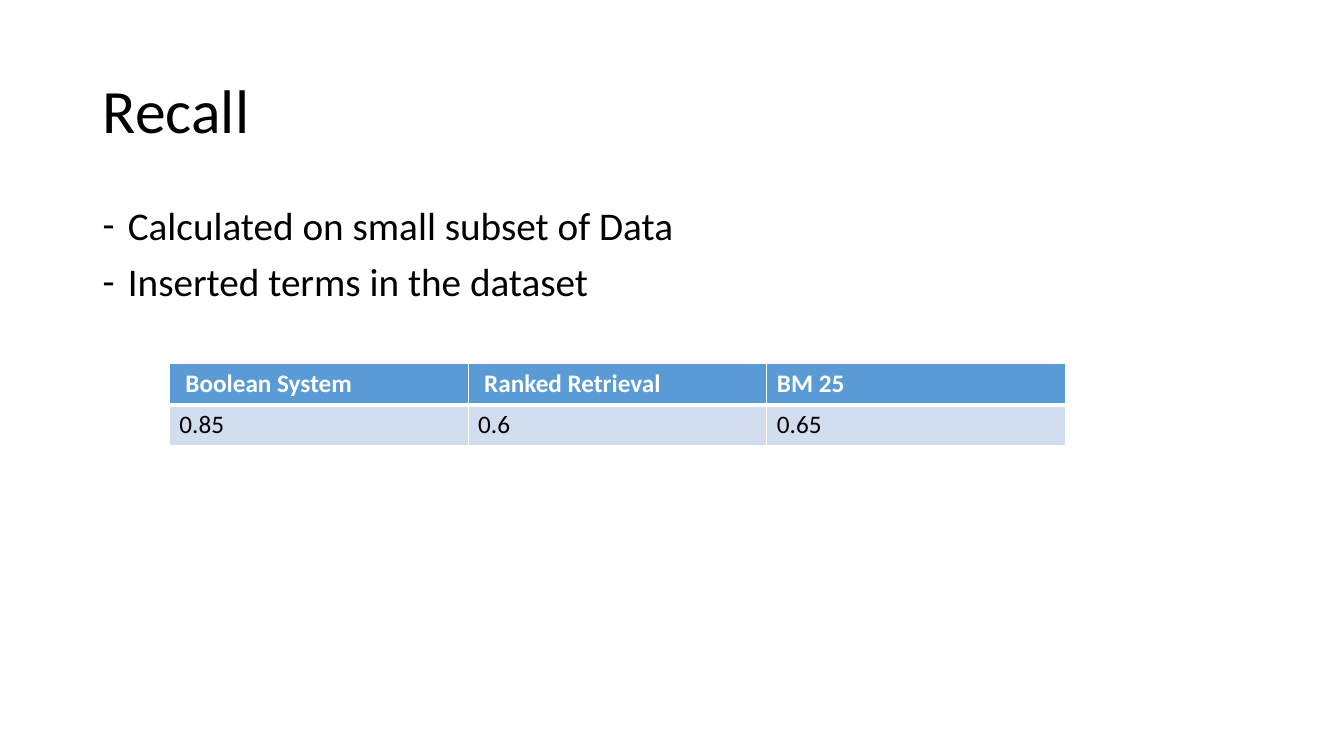
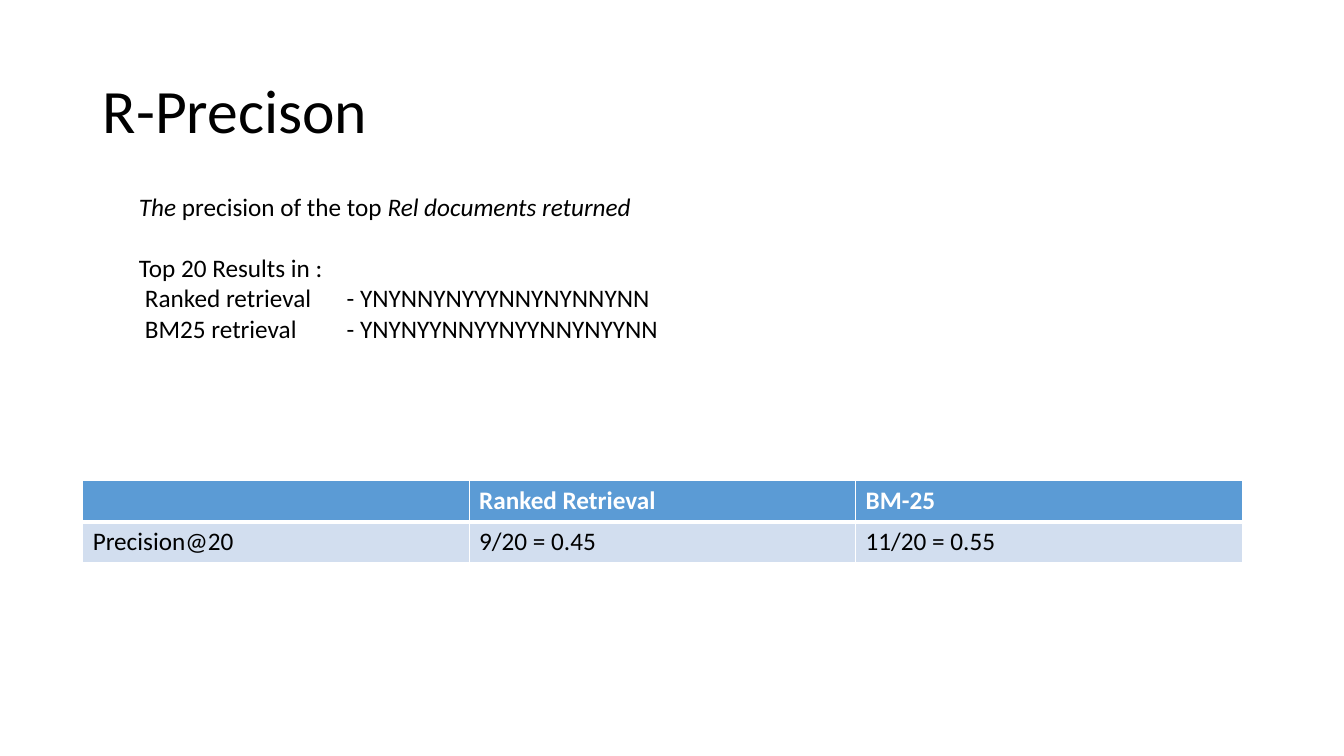
from lxml import etree
from pptx import Presentation
from pptx.dml.color import RGBColor
from pptx.enum.text import MSO_ANCHOR, PP_ALIGN
from pptx.oxml.ns import qn
from pptx.util import Inches, Pt

LEFT = PP_ALIGN.LEFT
MIDDLE = MSO_ANCHOR.MIDDLE
TITLE_ONLY = 5

FONT = "Calibri"
BLACK, WHITE = "000000", "FFFFFF"
HEAD, BODY = "5B9BD5", "D2DEEF"
TITLE_BOX = (0.92, 0.4, 11.5, 1.45)
ROW = 0.405
NUDGE = 0.06  # small inset of some lines and headings


def paint(code):
    """Turn a hex string into a colour."""
    return RGBColor.from_string(code)


def style(para, size, color=BLACK, bold=False):
    """Set the font of a whole paragraph."""
    font = para.font
    font.name, font.size, font.bold = FONT, Pt(size), bold
    font.color.rgb = paint(color)


def place(shape, box):
    """Move and size a shape to a box given in inches."""
    shape.left, shape.top, shape.width, shape.height = map(Inches, box)


def add_slide(deck, title):
    """Add a slide with its formatted title."""
    slide = deck.slides.add_slide(deck.slide_layouts[TITLE_ONLY])
    head = slide.shapes.title
    place(head, TITLE_BOX)
    frame = head.text_frame
    frame.text = title
    frame.vertical_anchor = MIDDLE
    para = frame.paragraphs[0]
    para.alignment, para.line_spacing = LEFT, 0.9
    style(para, 44)
    return slide


def add_box(slide, box):
    """Add a wrapping text box and return its frame."""
    frame = slide.shapes.add_textbox(*map(Inches, box)).text_frame
    frame.word_wrap = True
    return frame


def add_para(frame, first):
    """Return the first paragraph of a frame, or a new one."""
    return frame.paragraphs[0] if first else frame.add_paragraph()


def add_list(slide, box, items):
    """Add a list with dashes as bullets."""
    frame = add_box(slide, box)
    for i, item in enumerate(items):
        para = add_para(frame, i == 0)
        para.text = item
        para.line_spacing, para.space_before = 0.9, Pt(10)
        style(para, 28)
        props = para._p.get_or_add_pPr()
        props.set("marL", str(Inches(0.25)))
        props.set("indent", str(-Inches(0.25)))
        etree.SubElement(props, qn("a:buFont")).set("typeface", FONT)
        etree.SubElement(props, qn("a:buChar")).set("char", "-")
        # Paragraph properties keep the bullet ahead of the font.
        props.extend(props.findall(qn("a:defRPr")))


def add_notes(slide, box, intro, lead, results):
    """Add an intro of (text, italic) runs, a lead line and tabbed results."""
    frame = add_box(slide, box)
    para = add_para(frame, True)
    style(para, 18)
    for text, slant in intro:
        run = para.add_run()
        run.text, run.font.italic = text, slant
    para = add_para(frame, False)
    para.text, para.space_before = lead, Pt(22)
    style(para, 18)
    for name, marks in results:
        para = add_para(frame, False)
        para.text = f"{name}\t- {marks}"
        style(para, 18)
        props = para._p.get_or_add_pPr()
        props.set("marL", str(Inches(NUDGE)))
        props.set("indent", "0")
        tabs = etree.SubElement(props, qn("a:tabLst"))
        tab = etree.SubElement(tabs, qn("a:tab"))
        tab.set("pos", str(Inches(1.75)))
        tab.set("algn", "l")
        props.extend(props.findall(qn("a:defRPr")))


def add_edges(cell, top, bottom):
    """Draw white cell borders; top and bottom widths are in points."""
    props = cell._tc.get_or_add_tcPr()
    sides = (("L", 1), ("R", 1), ("T", top), ("B", bottom))
    for i, (side, width) in enumerate(sides):
        line = etree.Element(qn(f"a:ln{side}"), w=str(Pt(width)))
        fill = etree.SubElement(line, qn("a:solidFill"))
        etree.SubElement(fill, qn("a:srgbClr")).set("val", WHITE)
        props.insert(i, line)


def add_grid(slide, left, top, width, rows, inset=()):
    """Add a table with equal columns; inset lists nudged head columns."""
    count = len(rows[0])
    box = (left, top, width, ROW * len(rows))
    grid = slide.shapes.add_table(len(rows), count, *map(Inches, box)).table
    for col in grid.columns:
        col.width = Inches(width / count)
    for r, texts in enumerate(rows):
        head = r == 0
        for c, text in enumerate(texts):
            cell = grid.cell(r, c)
            cell.text = text
            style(cell.text_frame.paragraphs[0], 18,
                  WHITE if head else BLACK, head)
            cell.fill.solid()
            cell.fill.fore_color.rgb = paint(HEAD if head else BODY)
            if head and c in inset:
                cell.margin_left = Inches(0.1 + NUDGE)
            add_edges(cell, 1 if head else 3, 3 if head else 1)


def add_recall(deck):
    """Build the recall slide."""
    slide = add_slide(deck, "Recall")
    add_list(slide, (0.92, 2, 11.5, 4.76),
             ["Calculated on small subset of Data",
              "Inserted terms in the dataset"])
    add_grid(slide, 1.68, 3.61, 8.89,
             [["Boolean System", "Ranked Retrieval", "BM 25"],
              ["0.85", "0.6", "0.65"]], inset=(0, 1))


def add_precision(deck):
    """Build the precision slide."""
    slide = add_slide(deck, "R-Precison")
    add_grid(slide, 0.82, 4.77, 11.5,
             [["", "Ranked Retrieval", "BM-25"],
              ["Precision@20", "9/20 = 0.45", "11/20 = 0.55"]])
    add_notes(slide, (1.28, 1.85, 10.03, 2.22),
              [("The ", True), ("precision of the top ", False),
               ("Rel documents returned", True)],
              "Top 20 Results in :",
              [("Ranked retrieval", "YNYNNYNYYYNNYNYNNYNN"),
               ("BM25 retrieval", "YNYNYYNNYYNYYNNYNYYNN")])


def main():
    """Build and save the deck."""
    deck = Presentation()
    deck.slide_width, deck.slide_height = Inches(13.33), Inches(7.5)
    add_recall(deck)
    add_precision(deck)
    deck.save("out.pptx")


main()
